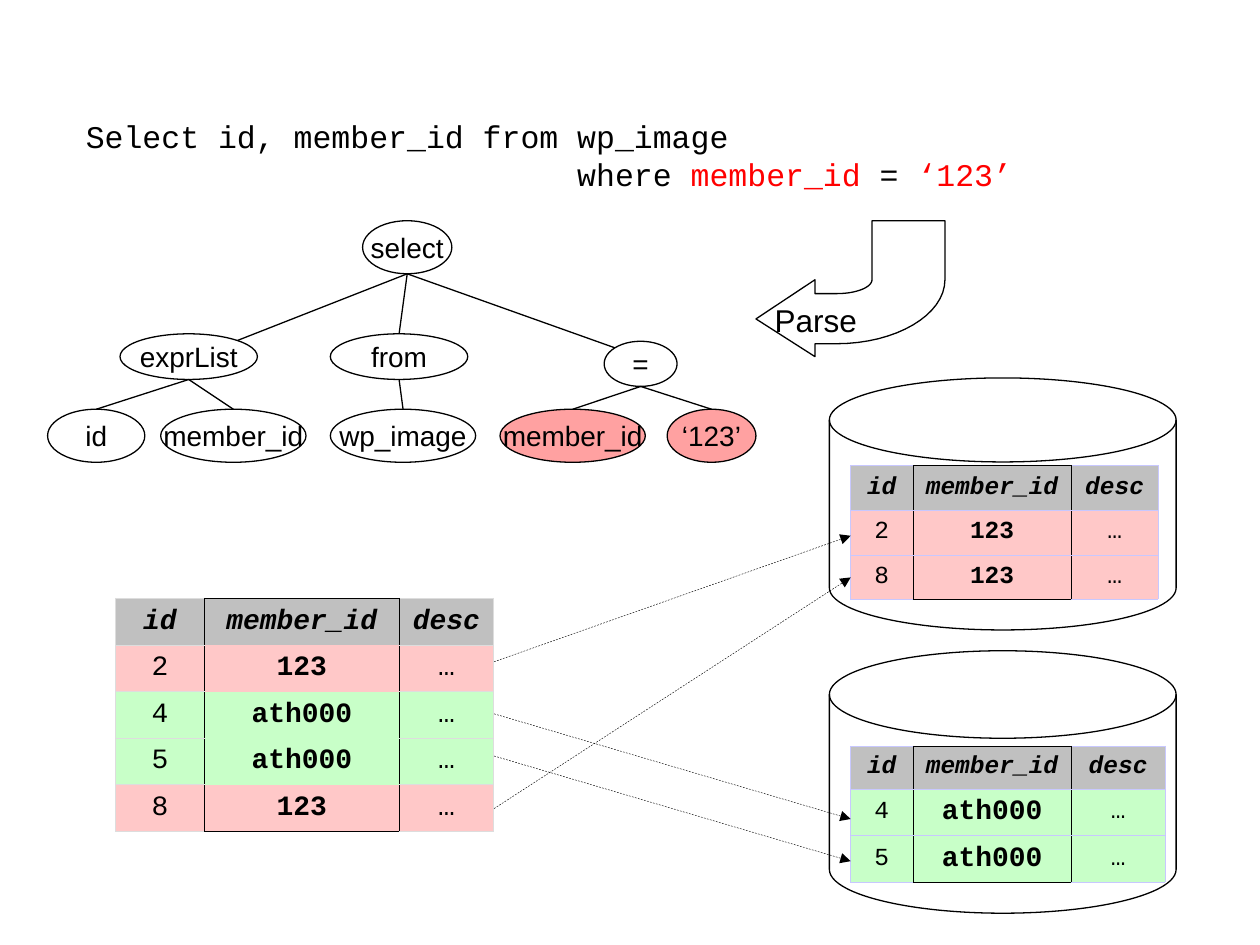
from dataclasses import dataclass
from itertools import product
from typing import Optional

from lxml.etree import SubElement
from pptx import Presentation
from pptx.dml.color import RGBColor
from pptx.enum.dml import MSO_LINE
from pptx.enum.shapes import MSO_CONNECTOR as Connector, MSO_SHAPE as Preset
from pptx.enum.text import MSO_ANCHOR as Anchor, PP_ALIGN as Align
from pptx.oxml.ns import qn
from pptx.util import Cm, Pt

COLORS = {
    "black": "000000", "red": "FF0000", "header": "C0C0C0", "pink": "FFC8C8",
    "green": "C8FFC8", "grey edge": "DDDDDD", "blue edge": "C8C8FF",
}
NO_STYLE = "{2D5ABB26-0587-4C30-8999-92F81FD0307C}"
SANS, MONO = "Arial", "Courier New"
Point = tuple[float, float]


@dataclass
class Node:
    label: str
    left: float
    top: float
    width: float
    height: float = 1.07
    marked: bool = False

    def site(self, x: float, y: float) -> Point:
        """Point at (x, y) half-axes from the centre."""
        return (self.left + self.width * (1 + x) / 2, self.top + self.height * (1 + y) / 2)


@dataclass
class DataTable:
    left: float
    top: float
    columns: list[float]
    heights: list[float]
    records: list[tuple[str, str]]
    size: int
    edge: str
    edge_width: float
    inner_lines: bool = True
    big_member: Optional[int] = None


ROOT = Node("select", 7.31, 4.45, 1.8)
EXPRESSIONS = Node("exprList", 2.42, 6.73, 2.77, 0.92)
FROM = Node("from", 6.66, 6.73, 2.77, 0.92)
EQUALS = Node("=", 12.18, 6.88, 1.47, 0.91)
LEAF_TOP = 8.25
LEAVES = {
    "id": Node("id", 0.96, LEAF_TOP, 1.96),
    "column": Node("member_id", 3.24, LEAF_TOP, 2.93),
    "table": Node("wp_image", 6.66, LEAF_TOP, 2.93),
    "key": Node("member_id", 10.08, LEAF_TOP, 2.93, marked=True),
    "value": Node("‘123’", 13.45, LEAF_TOP, 1.79, marked=True),
}
TOP, BOTTOM = (0, -1), (0, 1)
UPPER_RIGHT, UPPER_LEFT = (0.71, -0.71), (-0.71, -0.71)
BRANCHES = [
    (ROOT, EXPRESSIONS, UPPER_RIGHT), (ROOT, FROM, TOP), (ROOT, EQUALS, UPPER_LEFT),
    (EXPRESSIONS, LEAVES["id"], TOP), (EXPRESSIONS, LEAVES["column"], TOP),
    (FROM, LEAVES["table"], TOP),
    (EQUALS, LEAVES["key"], TOP), (EQUALS, LEAVES["value"], TOP),
]
TABLES = [
    DataTable(2.33, 12.06, [1.79, 3.93, 1.9], [0.94] * 5,
              [("2", "123"), ("4", "ath000"), ("5", "ath000"), ("8", "123")],
              16, "grey edge", 0.45, inner_lines=False),
    DataTable(17.14, 9.38, [1.27, 3.18, 1.76], [0.9] * 3,
              [("2", "123"), ("8", "123")], 14, "blue edge", 0.11),
    DataTable(17.14, 15.04, [1.27, 3.18, 1.9], [0.86, 0.94, 0.94],
              [("4", "ath000"), ("5", "ath000")], 14, "blue edge", 0.11, big_member=16),
]
DISKS = [(13.12, 5.29), (7.62, 5.08)]
ROUTES = [(13.34, 10.8), (16.3, 11.64), (14.39, 16.51), (15.24, 17.36)]


def rgb(name: str) -> RGBColor:
    return RGBColor.from_string(COLORS[name])


def add_text(paragraph, text: str, font: str, size: int, color: str = "black",
             bold: bool = False, italic: bool = False) -> None:
    run = paragraph.add_run()
    run.text = text
    run.font.name, run.font.size = font, Pt(size)
    run.font.bold, run.font.italic = bold, italic
    run.font.color.rgb = rgb(color)


def outline(shape, width: float = 0.75) -> None:
    shape.line.color.rgb = rgb("black")
    shape.line.width = Pt(width)


def plain(shape) -> None:
    shape.shadow.inherit = False
    shape.fill.background()
    outline(shape)


def center_label(shape, text: str, size: int) -> None:
    frame = shape.text_frame
    frame.word_wrap = False
    frame.vertical_anchor = Anchor.MIDDLE
    paragraph = frame.paragraphs[0]
    paragraph.alignment = Align.CENTER
    add_text(paragraph, text, SANS, size)


def add_line(shapes, start: Point, end: Point, width: float = 0.75, arrow: bool = False) -> None:
    line = shapes.add_connector(Connector.STRAIGHT, *map(Cm, start + end))
    outline(line, width)
    properties = line.element.spPr
    if arrow:
        line.line.dash_style = MSO_LINE.DASH
        SubElement(properties.find(qn("a:ln")), qn("a:tailEnd"), type="triangle")
    SubElement(properties, qn("a:effectLst"))


def add_node(shapes, node: Node) -> None:
    ellipse = shapes.add_shape(
        Preset.OVAL, Cm(node.left), Cm(node.top), Cm(node.width), Cm(node.height))
    plain(ellipse)
    if node.marked:
        ellipse.fill.solid()
        ellipse.fill.fore_color.rgb = rgb("red")
        color = ellipse.element.spPr.find(qn("a:solidFill")).find(qn("a:srgbClr"))
        SubElement(color, qn("a:alpha"), val="37000")
    center_label(ellipse, node.label, 16)


def add_border(cell, side: str, color: str, width: float) -> None:
    line = SubElement(cell._tc.get_or_add_tcPr(), qn(f"a:ln{side}"), w=str(Pt(width)))
    fill = SubElement(line, qn("a:solidFill"))
    SubElement(fill, qn("a:srgbClr"), val=COLORS[color])


def border_cell(cell, row: int, column: int, data: DataTable) -> None:
    """Frame the member_id column in black and the rest in the edge colour."""
    edge, frame = (data.edge, data.edge_width), ("black", 0.45)
    middle = column == 1
    inner = edge if data.inner_lines or not middle else None
    last = row == len(data.records)
    borders = {
        "L": edge if column == 0 else frame,
        "R": edge if column == 2 else frame,
        "T": frame if middle and row == 0 else inner,
        "B": frame if middle and last else inner,
    }
    for side, border in borders.items():
        if border:
            add_border(cell, side, *border)


def add_data_table(shapes, data: DataTable) -> None:
    rows = [("id", "member_id", "desc")] + [(*record, "…") for record in data.records]
    graphic = shapes.add_table(len(rows), 3, Cm(data.left), Cm(data.top),
                               Cm(sum(data.columns)), Cm(sum(data.heights)))
    table = graphic.table
    table.first_row = table.horz_banding = False
    table._tbl.tblPr.find(qn("a:tableStyleId")).text = NO_STYLE
    for column, width in zip(table.columns, data.columns):
        column.width = Cm(width)
    for row, height in zip(table.rows, data.heights):
        row.height = Cm(height)
    for row, column in product(range(len(rows)), range(3)):
        cell = table.cell(row, column)
        header, member = row == 0, column == 1
        border_cell(cell, row, column, data)
        cell.fill.solid()
        record_color = "pink" if rows[row][1] == "123" else "green"
        cell.fill.fore_color.rgb = rgb("header" if header else record_color)
        cell.vertical_anchor = Anchor.MIDDLE
        cell.margin_left = cell.margin_right = Cm(0.1)
        paragraph = cell.text_frame.paragraphs[0]
        paragraph.alignment = Align.CENTER
        size = data.big_member if data.big_member and member and not header else data.size
        add_text(paragraph, rows[row][column], MONO, size, bold=header or member, italic=header)


def curve(start: Point, first: Point, second: Point, end: Point, steps: int = 16) -> list[Point]:
    """Points along a cubic Bézier curve, without its start."""
    fractions = [step / steps for step in range(1, steps + 1)]
    return [tuple((1 - t) ** 3 * a + 3 * (1 - t) ** 2 * t * b + 3 * (1 - t) * t ** 2 * c + t ** 3 * d
                  for a, b, c, d in zip(start, first, second, end)) for t in fractions]


def add_parse_arrow(shapes) -> None:
    points = [(15.24, 6.43), (16.43, 7.19), (16.43, 6.93), (16.87, 6.93)]
    points += curve(points[-1], (18.06, 6.93), (19.05, 6.35), (19.05, 5.64))
    points += [(19.05, 4.45), (17.58, 4.45), (17.58, 5.64)]
    points += curve(points[-1], (17.58, 5.79), (17.27, 5.92), (16.87, 5.92))
    points += [(16.43, 5.92), (16.43, 5.64)]
    corners = [(Cm(x), Cm(y)) for x, y in points]
    builder = shapes.build_freeform(*corners[0])
    builder.add_line_segments(corners[1:], close=True)
    arrow = builder.convert_to_shape()
    plain(arrow)
    frame = arrow.text_frame
    frame.margin_left = frame.margin_bottom = 0
    frame.margin_right, frame.margin_top = Cm(1.4), Cm(1.25)
    center_label(arrow, "Parse", 18)


def add_query(shapes) -> None:
    frame = shapes.add_textbox(Cm(1.48), Cm(2.24), Cm(23.7), Cm(1.78)).text_frame
    frame.word_wrap = True
    paragraph = frame.paragraphs[0]
    add_text(paragraph, "Select id, member_id from wp_image", MONO, 18)
    paragraph.add_line_break()
    for text, color in [("                          where ", "black"), ("member_id", "red"),
                        (" = ", "black"), ("‘123’", "red")]:
        add_text(paragraph, text, MONO, 18, color)


def main() -> None:
    presentation = Presentation()
    presentation.slide_width, presentation.slide_height = Cm(25.4), Cm(19.05)
    shapes = presentation.slides.add_slide(presentation.slide_layouts[6]).shapes
    for top, height in DISKS:
        plain(shapes.add_shape(
            Preset.FLOWCHART_MAGNETIC_DISK, Cm(16.72), Cm(top), Cm(6.99), Cm(height)))
    for data in TABLES:
        add_data_table(shapes, data)
    tree = shapes.add_group_shape().shapes
    for node in [ROOT, *LEAVES.values(), EQUALS, EXPRESSIONS, FROM]:
        add_node(tree, node)
    for parent, child, side in BRANCHES:
        add_line(tree, parent.site(*BOTTOM), child.site(*side))
    add_query(shapes)
    for start, end in ROUTES:
        add_line(shapes, (9.96, start), (17.15, end), 0.25, arrow=True)
    add_parse_arrow(shapes)
    presentation.save("out.pptx")


if __name__ == "__main__":
    main()
